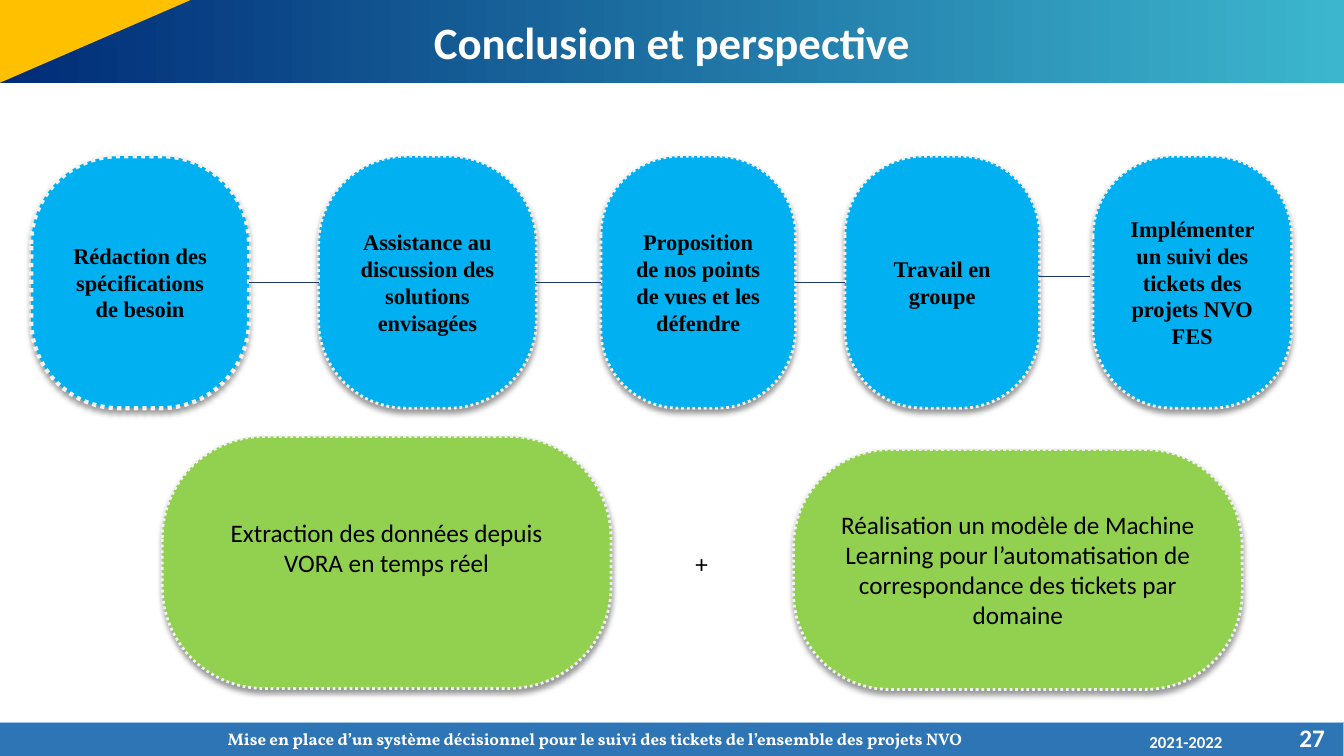
from lxml import etree
from pptx import Presentation
from pptx.dml.color import RGBColor
from pptx.enum.dml import MSO_LINE
from pptx.enum.shapes import MSO_CONNECTOR, MSO_SHAPE
from pptx.enum.text import MSO_ANCHOR, MSO_AUTO_SIZE, PP_ALIGN
from pptx.oxml.ns import qn
from pptx.util import Inches, Pt

RECTANGLE = MSO_SHAPE.RECTANGLE
ROUNDED = MSO_SHAPE.ROUNDED_RECTANGLE
STRAIGHT = MSO_CONNECTOR.STRAIGHT
DOTTED = MSO_LINE.ROUND_DOT
MIDDLE = MSO_ANCHOR.MIDDLE
TOP = MSO_ANCHOR.TOP
FIXED = MSO_AUTO_SIZE.NONE
LEFT, CENTER, RIGHT = PP_ALIGN.LEFT, PP_ALIGN.CENTER, PP_ALIGN.RIGHT
RIGHT_SIDE, LEFT_SIDE = 3, 1
SANS, SERIF, FOOTER_FONT = "Calibri", "Times New Roman", "Vollkorn"
COLORS = {
    "navy": "002C77",
    "teal": "3CB6CE",
    "gold": "FFC000",
    "footer": "2E75B6",
    "footer_edge": "9DC3E6",
    "step": "00B0F0",
    "outlook": "92D050",
    "dots": "F2F2F2",
    "link": "203864",
    "black": "000000",
    "white": "FFFFFF",
}


def rgb(name):
    return RGBColor.from_string(COLORS[name])


class ConclusionSlide:
    def __init__(self, presentation):
        self.slide = presentation.slides.add_slide(presentation.slide_layouts[5])
        self.shapes = self.slide.shapes

    def add_words(self, shape, words, size, font, color, bold, align, anchor):
        frame = shape.text_frame
        frame.vertical_anchor = anchor
        paragraph = frame.paragraphs[0]
        paragraph.alignment = align
        run = paragraph.add_run()
        run.text = words
        run.font.size = Pt(size)
        run.font.name = font
        run.font.bold = bold
        run.font.color.rgb = rgb(color)

    def title(self, words, width, height):
        banner = self.shapes.title
        banner.left, banner.top = Inches(0), Inches(0)
        banner.width, banner.height = Inches(width), Inches(height)
        banner.fill.gradient()
        banner.fill.gradient_angle = 0
        for stop, color in zip(banner.fill.gradient_stops, ("navy", "teal")):
            stop.color.rgb = rgb(color)
        frame = banner.text_frame
        frame.auto_size = FIXED
        frame.margin_left = frame.margin_right = Inches(0)
        frame.margin_top = frame.margin_bottom = Inches(0)
        self.add_words(banner, words, 32, SANS, "white", True, CENTER, MIDDLE)

    def corner(self, width, height):
        outline = self.shapes.build_freeform(0, 0)
        outline.add_line_segments(
            [(Inches(width), 0), (0, Inches(height))], close=True
        )
        triangle = outline.convert_to_shape()
        triangle.shadow.inherit = False
        triangle.fill.solid()
        triangle.fill.fore_color.rgb = rgb("gold")
        triangle.line.fill.background()

    def block(self, kind, box, fill, edge, weight):
        block = self.shapes.add_shape(kind, *map(Inches, box))
        block.shadow.inherit = False
        block.fill.solid()
        block.fill.fore_color.rgb = rgb(fill)
        block.line.color.rgb = rgb(edge)
        block.line.width = Pt(weight)
        return block

    def card(self, box, fill, words, size, font, bold, weight=2, bottom=0.05):
        card = self.block(ROUNDED, box, fill, "dots", weight)
        card.adjustments[0] = 0.403
        card.line.dash_style = DOTTED
        effects = card._element.spPr.find(qn("a:effectLst"))
        shadow = etree.SubElement(
            effects, qn("a:outerShdw"), blurRad=str(Pt(4)), dist=str(Pt(3)),
            dir="5400000", algn="t", rotWithShape="0",
        )
        tint = etree.SubElement(shadow, qn("a:srgbClr"), val=COLORS["black"])
        etree.SubElement(tint, qn("a:alpha"), val="40000")
        card.text_frame.word_wrap = True
        card.text_frame.margin_bottom = Inches(bottom)
        self.add_words(card, words, size, font, "black", bold, CENTER, MIDDLE)
        return card

    def link(self, start, end):
        link = self.shapes.add_connector(STRAIGHT, *map(Inches, start + end))
        link.line.color.rgb = rgb("link")
        link.line.width = Pt(0.5)
        etree.SubElement(link._element.spPr, qn("a:effectLst"))
        return link

    def join(self, before, after):
        link = self.link((0, 0), (1, 0))
        link.begin_connect(before, RIGHT_SIDE)
        link.end_connect(after, LEFT_SIDE)

    def label(self, box, words, size, font, color="white", bold=True,
              align=LEFT, anchor=TOP, wrap=True):
        label = self.shapes.add_textbox(*map(Inches, box))
        label.text_frame.word_wrap = wrap
        self.add_words(label, words, size, font, color, bold, align, anchor)


def main():
    presentation = Presentation()
    presentation.slide_width = Inches(13.33)
    presentation.slide_height = Inches(7.5)
    page = ConclusionSlide(presentation)

    page.title("Conclusion et perspective", 13.33, 0.82)
    page.corner(1.89, 0.82)
    page.block(RECTANGLE, (0, 7.17, 13.33, 0.41), "footer", "footer_edge", 0.75)

    steps = [
        (0.31, 2.16, 3, "Rédaction des spécifications de besoin"),
        (3.16, 2.16, 2, "Assistance au discussion des solutions envisagées"),
        (5.96, 1.93, 2, "Proposition de nos points de vues et les défendre"),
        (8.38, 1.93, 2, "Travail en groupe"),
        (10.84, 1.97, 2, "Implémenter un suivi des tickets des projets NVO FES"),
    ]
    cards = [
        page.card((left, 1.55, width, 2.5), "step", words, 16, SERIF, True, weight)
        for left, width, weight, words in steps
    ]
    for before, after in zip(cards[:3], cards[1:4]):
        page.join(before, after)
    page.link((10.31, 2.74), (10.81, 2.74))

    page.card((1.61, 4.33, 4.45, 2.5), "outlook",
              "Extraction des données depuis VORA en temps réel",
              18, SANS, False, bottom=0.35)
    page.label((6.8, 5.39, 0.33, 0.4), "+", 18, SANS, "black", False, wrap=False)
    page.card((7.87, 4.46, 4.45, 2.38), "outlook",
              "Réalisation un modèle de Machine Learning pour l’automatisation "
              "de correspondance des tickets par domaine",
              18, SANS, False)

    page.label((2.16, 7.18, 8.67, 0.5),
               "Mise en place d’un système décisionnel pour le suivi des tickets "
               "de l’ensemble des projets NVO", 12, FOOTER_FONT)
    page.label((11.3, 7.21, 1.05, 0.3), "2021-2022", 12, SANS)
    page.label((12.36, 7.11, 0.88, 0.41), "27", 18, SANS, align=RIGHT, anchor=MIDDLE)

    presentation.save("out.pptx")


if __name__ == "__main__":
    main()
